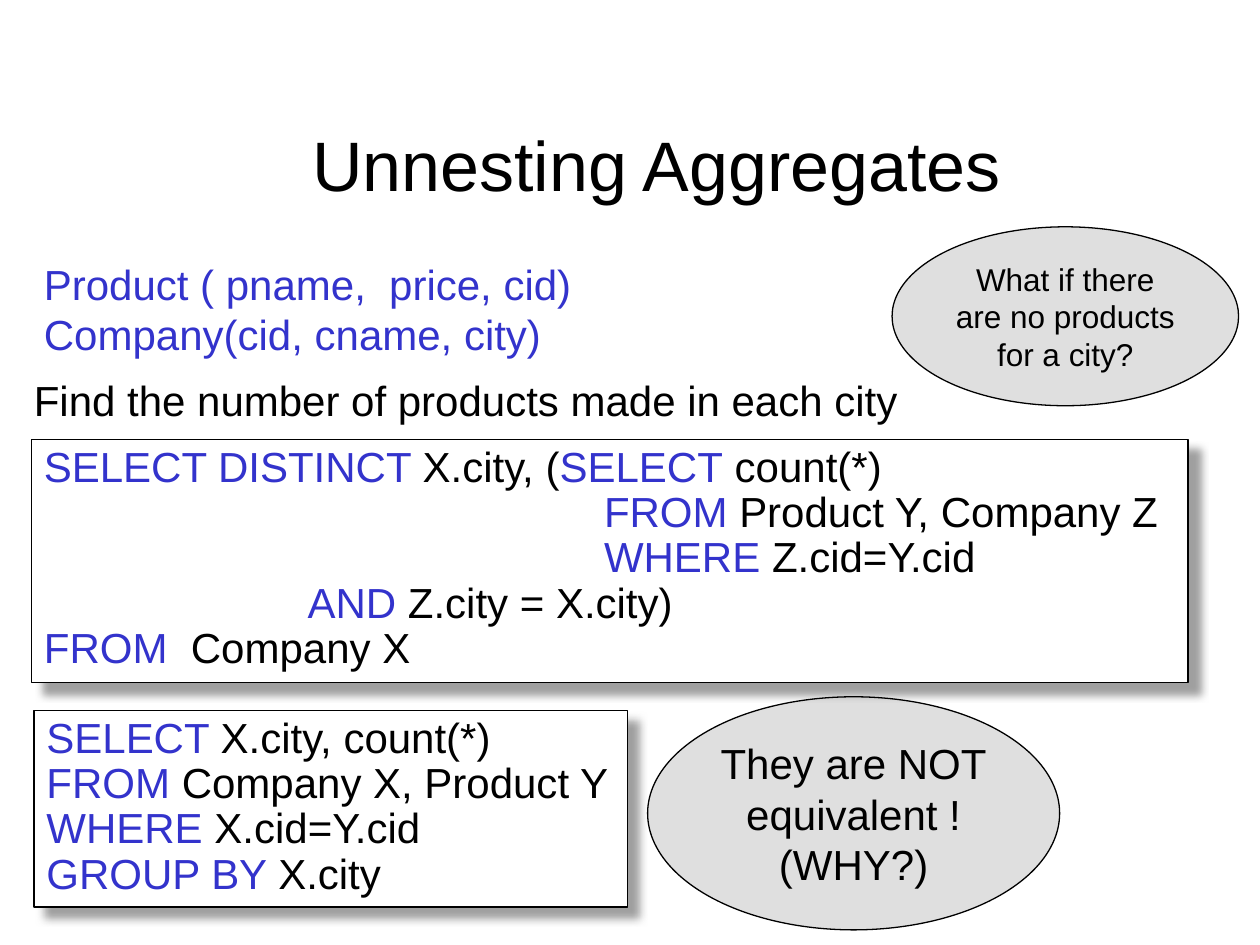
from lxml import etree
from pptx import Presentation
from pptx.dml.color import RGBColor
from pptx.enum.shapes import MSO_SHAPE
from pptx.enum.text import MSO_ANCHOR, MSO_AUTO_SIZE, PP_ALIGN
from pptx.oxml.ns import qn
from pptx.util import Inches, Pt

RECT, OVAL = MSO_SHAPE.RECTANGLE, MSO_SHAPE.OVAL
LEFT, CENTER = PP_ALIGN.LEFT, PP_ALIGN.CENTER
TOP, MIDDLE = MSO_ANCHOR.TOP, MSO_ANCHOR.MIDDLE
GROW = MSO_AUTO_SIZE.SHAPE_TO_FIT_TEXT
BLACK = RGBColor(0x00, 0x00, 0x00)
WHITE = RGBColor(0xFF, 0xFF, 0xFF)
BLUE = RGBColor(0x33, 0x33, 0xCC)
GRAY = RGBColor(0xC0, 0xC0, 0xC0)
FONT = "Arial"

# Content: every second part between bars is a blue keyword
TITLE = "Unnesting Aggregates"
TASK = "Find the number of products made in each city"
SCHEMA = ["Product ( pname,  price, cid)", "Company(cid, cname, city)"]
INDENT = " " * 48
NESTED = [
    f"|SELECT DISTINCT |X.city, (|SELECT| count(*) \n{INDENT}"
    f"|FROM| Product Y, Company Z\n{INDENT}|WHERE |Z.cid=Y.cid",
    "\t\t\t\t |AND |Z.city = X.city)",
    "|FROM | Company X",
]
GROUPED = [
    "|SELECT |X.city, count(*)",
    "|FROM |Company X, Product Y",
    "|WHERE |X.cid=Y.cid \n|GROUP BY |X.city",
]
QUERIES = [
    (NESTED, (0.25, 3.49, 9.18, 1.93)),
    (GROUPED, (0.27, 5.64, 4.71, 1.56)),
]
NOTES = [
    (["They are NOT\nequivalent !\n(WHY?)"], (5.14, 5.53, 3.27, 1.85), 24, GROW),
    (["What if there", "are no products", "for a city?"],
     (7.08, 1.8, 2.75, 1.42), 18, None),
]


def write(shape, lines, size=24, color=BLACK, align=LEFT, anchor=TOP,
          space=None, wrap=False, fit=GROW):
    frame = shape.text_frame
    frame.word_wrap, frame.vertical_anchor = wrap, anchor
    if fit is not None:
        frame.auto_size = fit
    for i, line in enumerate(lines):
        para = frame.add_paragraph() if i else frame.paragraphs[0]
        para.alignment = align
        if space:
            para.line_spacing = space
        for j, part in enumerate(line.split("|")):
            for k, text in enumerate(part.split("\n")):
                if k:
                    para.add_line_break()
                if text:
                    run = para.add_run()
                    run.text = text
                    run.font.name, run.font.size = FONT, Pt(size)
                    run.font.color.rgb = BLUE if j % 2 else color


def add_box(slide, kind, box, fill):
    shape = slide.shapes.add_shape(kind, *map(Inches, box))
    shape.shadow.inherit = False
    shape.fill.solid()
    shape.fill.fore_color.rgb = fill
    shape.line.color.rgb = BLACK
    shape.line.width = Pt(0.75)
    return shape


def set_alpha(node, percent):
    etree.SubElement(node, qn("a:alpha"), val=str(percent * 1000))


def cast_shadow(shape):
    effects = shape.element.spPr.find(qn("a:effectLst"))
    shadow = etree.SubElement(
        effects, qn("a:outerShdw"), blurRad=str(Pt(5)), dist=str(Pt(8.5)),
        dir=str(45 * 60000), algn="ctr", rotWithShape="0")
    set_alpha(etree.SubElement(shadow, qn("a:srgbClr"), val="808080"), 75)


def add_text(slide, lines, box, **style):
    write(slide.shapes.add_textbox(*map(Inches, box)), lines, **style)


def main():
    deck = Presentation()
    deck.slide_width, deck.slide_height = Inches(10), Inches(7.5)
    slide = deck.slides.add_slide(deck.slide_layouts[5])

    # Title
    title = slide.shapes.title
    title.left, title.top, title.width, title.height = map(
        Inches, (0.75, 0.67, 8.92, 1.25))
    write(title, [TITLE], size=40, align=CENTER, anchor=MIDDLE,
          wrap=True, fit=MSO_AUTO_SIZE.NONE)

    # Schema and task
    add_text(slide, [TASK], (0.17, 2.92, 7.12, 0.5))
    add_text(slide, SCHEMA, (0.25, 2, 4.43, 0.91), color=BLUE)

    # Queries
    for lines, box in QUERIES:
        shape = add_box(slide, RECT, box, WHITE)
        cast_shadow(shape)
        write(shape, lines, space=0.9)

    # Notes in half-clear ovals
    for lines, box, size, fit in NOTES:
        shape = add_box(slide, OVAL, box, GRAY)
        tint = shape.element.spPr.find(qn("a:solidFill")).find(qn("a:srgbClr"))
        set_alpha(tint, 50)
        write(shape, lines, size=size, align=CENTER, anchor=MIDDLE,
              wrap=fit is None, fit=fit)

    deck.save("out.pptx")


if __name__ == "__main__":
    main()
